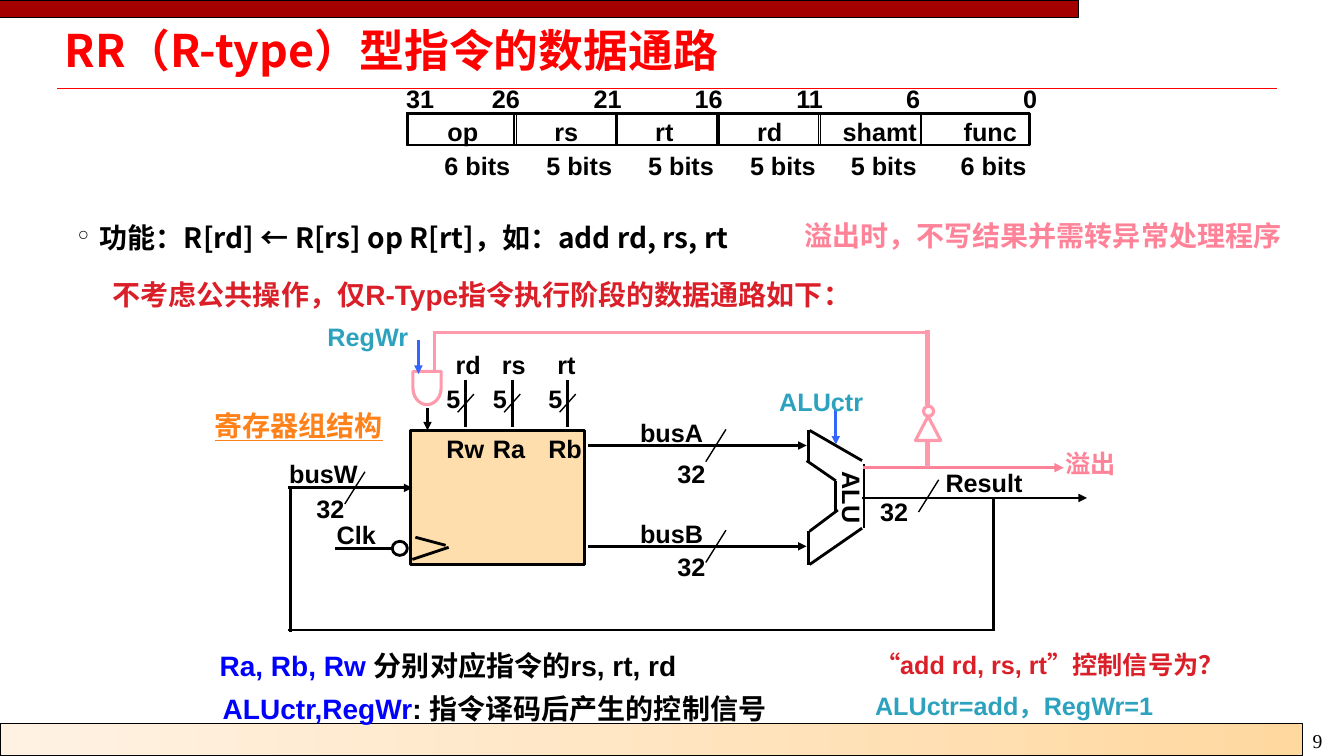
from lxml import etree
from pptx import Presentation
from pptx.dml.color import RGBColor
from pptx.enum.shapes import MSO_CONNECTOR as Link, MSO_SHAPE as Shape
from pptx.enum.text import MSO_ANCHOR as Anchor, MSO_AUTO_SIZE as AutoSize, PP_ALIGN as Align
from pptx.oxml.ns import qn
from pptx.util import Pt

PX = 9144  # 100 px to the inch
COLORS = {
    "black": "000000", "red": "FF0000", "maroon": "A40000", "crimson": "DA1F28",
    "blue": "0000FF", "control": "3366FF", "teal": "2DA2BF", "orange": "FF8119",
    "rose": "FF8398", "pink": "FE9AAB", "register": "FF9900",
    "cream": "FFF2E3", "peach": "FFD8A0",
}
RGB = {name: RGBColor.from_string(value) for name, value in COLORS.items()}
CJK = "Noto Sans CJK SC"

prs = Presentation()
prs.slide_width, prs.slide_height = 1333 * PX, 750 * PX
slide = prs.slides.add_slide(prs.slide_layouts[5])
shapes = slide.shapes


def write(frame, paragraphs, wrap=True, inset=(10, 5), color="black", layout=None, **font):
    """Fill a text frame; a paragraph is a list of (text, colour) runs or a string."""
    look = {"name": "Arial", "size": Pt(18), "bold": True, **font}
    frame.word_wrap, frame.auto_size = wrap, AutoSize.NONE
    frame.vertical_anchor = Anchor.TOP
    frame.margin_left = frame.margin_right = inset[0] * PX
    frame.margin_top = frame.margin_bottom = inset[1] * PX
    for index, runs in enumerate(paragraphs):
        para = frame.paragraphs[0] if index == 0 else frame.add_paragraph()
        for key, value in (layout or {}).items():
            if index or key != "space_before":
                setattr(para, key, value)
        for words, tint in [(runs, color)] if isinstance(runs, str) else runs:
            run = para.add_run()
            run.text = words
            run.font.color.rgb = RGB[tint]
            for key, value in look.items():
                setattr(run.font, key, value)
            latin = run.font._element.find(qn("a:latin"))
            east = etree.Element(qn("a:ea"), typeface=CJK)
            latin.addnext(east)


def wire(x1, y1, x2, y2, color="black", width=2, arrow=False):
    link = shapes.add_connector(Link.STRAIGHT, x1 * PX, y1 * PX, x2 * PX, y2 * PX)
    link.line.color.rgb, link.line.width = RGB[color], Pt(width)
    if arrow:
        etree.SubElement(link.line._get_or_add_ln(), qn("a:tailEnd"), type="triangle")
    etree.SubElement(link._element.spPr, qn("a:effectLst"))


# Title, its rule, top and bottom bands
title = shapes.title
title.left, title.top, title.width, title.height = 57 * PX, 27 * PX, 1202 * PX, 52 * PX
write(title.text_frame, ["RR（R-type）型指令的数据通路"], inset=(7, 3), color="red", name=CJK,
      size=Pt(32), layout={"line_spacing": 0.87, "alignment": Align.LEFT})
wire(57, 88, 1267, 88, "red", 1)

# Outlined shapes: bands, instruction fields, register file, gates
FIELDS = [("op", 403, 107, 434, 50), ("rs", 512, 99, 540, 44), ("rt", 612, 99, 640, 38),
          ("rd", 713, 99, 741, 45), ("shamt", 814, 99, 826, 93), ("func", 914, 107, 946, 73)]
outlines = [
    (Shape.RECTANGLE, 0, 1, 1070, 16, "black", 0.75, 0, "maroon"),
    (Shape.RECTANGLE, 0, 718, 1292, 32, "black", 0.75, 0, "gradient"),
    (Shape.RECTANGLE, 404, 113, 617, 31, "black", 2, 0, None),
    *[(Shape.RECTANGLE, x, 112, w, 32, "black", 1, 0, None) for _, x, w, _, _ in FIELDS],
    (Shape.RECTANGLE, 407, 427, 173, 133, "black", 2, 0, "register"),
    (Shape.OVAL, 389, 537, 15, 14, "black", 2, 0, None),
    (Shape.ISOSCELES_TRIANGLE, 908, 413, 25, 24, "pink", 2.25, 0, None),
    (Shape.OVAL, 916, 403, 10, 10, "pink", 2.25, 0, None),
    (Shape.FLOWCHART_DELAY, 407, 371, 33, 28, "pink", 2.25, 90, None),
]
for kind, x, y, w, h, color, width, turn, fill in outlines:
    part = shapes.add_shape(kind, x * PX, y * PX, w * PX, h * PX)
    part.shadow.inherit = False
    part.rotation = turn
    part.line.color.rgb, part.line.width = RGB[color], Pt(width)
    if fill is None:
        part.fill.background()
    elif fill == "gradient":
        part.fill.gradient()
        part.fill.gradient_angle = 0
        for stop, tint in zip(part.fill.gradient_stops, ("cream", "peach")):
            stop.color.rgb = RGB[tint]
    else:
        part.fill.solid()
        part.fill.fore_color.rgb = RGB[fill]
    if fill == "register":
        tone = part._element.spPr.find(qn("a:solidFill"))[0]
        etree.SubElement(tone, qn("a:alpha"), val="32000")

# Plain wires: ALU outline, clock input, write-back loop
for ends in [
    (802, 427, 802, 457), (803, 427, 855, 457), (800, 457, 829, 477), (829, 477, 829, 507),
    (857, 460, 857, 524), (803, 527, 831, 506), (802, 527, 802, 561), (803, 560, 855, 524),
    (412, 533, 442, 541), (445, 543, 409, 555), (390, 544, 332, 544),
    (985, 493, 985, 624), (987, 625, 286, 625), (288, 627, 288, 482),
]:
    wire(*ends)

# Data and control arrows
for *ends, color, width in [
    (855, 494, 1078, 494, "black", 2), (286, 484, 409, 484, "black", 2),
    (583, 442, 800, 442, "black", 2), (583, 542, 800, 542, "black", 2),
    (424, 405, 424, 427, "black", 2), (829, 407, 829, 441, "control", 2),
    (415, 337, 415, 371, "control", 2), (856, 464, 1055, 464, "rose", 2.25),
]:
    wire(*ends, color, width, arrow=True)

# Overflow feedback to the write-enable gate
for *ends, width in [(920, 436, 920, 463, 3), (429, 330, 919, 330, 2.25),
                     (920, 327, 920, 402, 3), (431, 329, 431, 368, 2.25)]:
    wire(*ends, "pink", width)

# Bus-width slashes
for x, y in [(911, 476), (342, 468), (700, 426), (700, 526)]:
    wire(x + 20, y, x, y + 32, width=1)

# Labels: text, left, top, width, colour
labels = [
    ("Result", 928, 459, 97, "black"), ("ALUctr", 763, 378, 108, "teal"),
    ("Clk", 324, 510, 59, "black"), ("busW", 277, 450, 89, "black"),
    ("RegWr", 315, 314, 100, "teal"), ("32", 304, 484, 48, "black"),
    ("32", 662, 450, 48, "black"), ("busA", 625, 409, 83, "black"),
    ("32", 662, 542, 48, "black"), ("busB", 625, 509, 83, "black"),
    ("32", 863, 487, 48, "black"),
]

# Register ports: selector wire, slash, field and port names
for x, field, field_x, field_w, port, port_w in [
    (462, "rd", 442, 45, "Rw", 58), (508, "rs", 488, 44, "Ra", 52), (563, "rt", 543, 38, "Rb", 54),
]:
    wire(x, 377, x, 424)
    wire(x - 8, 409, x + 8, 391, width=1)
    labels += [(field, field_x, 342, field_w, "black"), ("5", x - 29, 375, 34, "black"),
               (port, x - 29, 425, port_w, "black")]

# Instruction format: names, bit numbers, widths
labels += [(name, x, 111, w, "black") for name, _, _, x, w in FIELDS]
labels += [(bit, x, 78, w, "black") for bit, x, w in [
    ("31", 393, 48), ("26", 478, 48), ("21", 579, 48), ("16", 679, 48),
    ("11", 780, 48), ("6", 889, 34), ("0", 1005, 34)]]
labels += [(f"{bits} bits", x, 144, 85, "black") for bits, x in [
    (6, 431), (5, 532), (5, 633), (5, 734), (5, 834), (6, 943)]]

for words, x, y, w, color in labels:
    label = shapes.add_textbox(x * PX, y * PX, w * PX, 40 * PX)
    write(label.text_frame, [words], wrap=False, color=color)

alu = shapes.add_textbox(809 * PX, 474 * PX, 72 * PX, 40 * PX)
alu.rotation = 90
write(alu.text_frame, ["ALU"], wrap=False)

# Function statement with its bullet
function = shapes.add_textbox(70 * PX, 212 * PX, 896 * PX, 43 * PX)
props = function.text_frame.paragraphs[0]._p.get_or_add_pPr()
props.set("marL", str(22 * PX))
props.set("indent", str(-22 * PX))
etree.SubElement(props, qn("a:buChar"), char="°")
write(function.text_frame, ["功能：R[rd] ← R[rs] op R[rt]，如：add rd, rs, rt"],
      inset=(7, 3), name=CJK, size=Pt(20), layout={"line_spacing": 1.1})

# Remarks: box, paragraphs, format
big = {"size": Pt(20)}
for (x, y, w, h), paragraphs, style in [
    ((102, 270, 823, 43), ["不考虑公共操作，仅R-Type指令执行阶段的数据通路如下："],
     {"color": "crimson", **big}),
    ((180, 681, 621, 43), [[("ALUctr,RegWr", "blue"), (": 指令译码后产生的控制信号", "black")]],
     {"layout": {"alignment": Align.CENTER}, **big}),
    ((208, 635, 494, 47), [[("Ra, Rb, Rw ", "blue"), ("分别对应指令的rs, rt, rd", "black")]],
     {"layout": {"line_spacing": 1.1}, **big}),
    ((858, 639, 451, 84), [[("“add rd, rs, rt”控制信号为？", "crimson")],
                           [("ALUctr=add，RegWr=1", "teal")]],
     {"layout": {"space_before": Pt(8)}}),
    ((788, 212, 515, 44), ["溢出时，不写结果并需转异常处理程序"],
     {"color": "rose", "name": CJK, **big}),
    ((1047, 440, 84, 40), ["溢出"], {"color": "rose", "name": CJK}),
    ((203, 400, 200, 43), ["寄存器组结构"], {"color": "orange", "underline": True, **big}),
    ((1292, 718, 43, 34), ["9"], {"name": "Times New Roman", "size": Pt(14), "bold": False}),
]:
    remark = shapes.add_textbox(x * PX, y * PX, w * PX, h * PX)
    write(remark.text_frame, paragraphs, **style)

prs.save("out.pptx")
